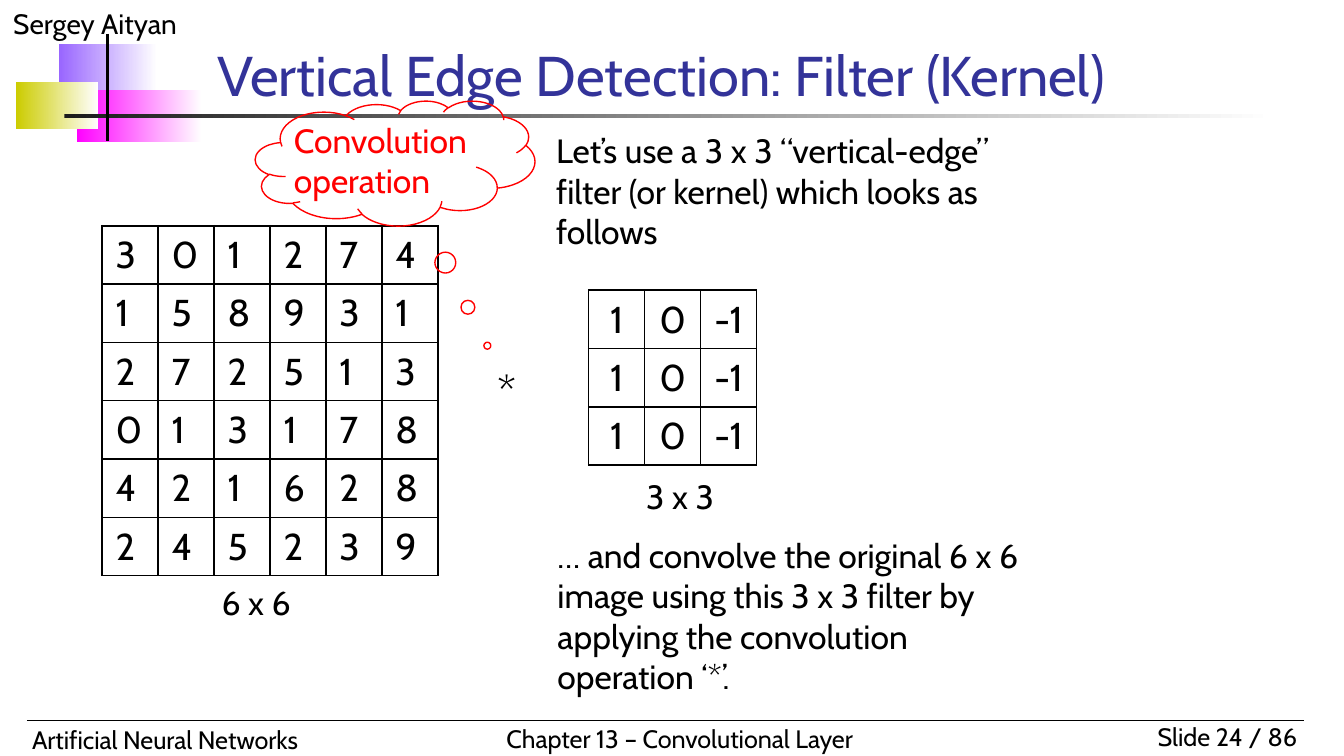
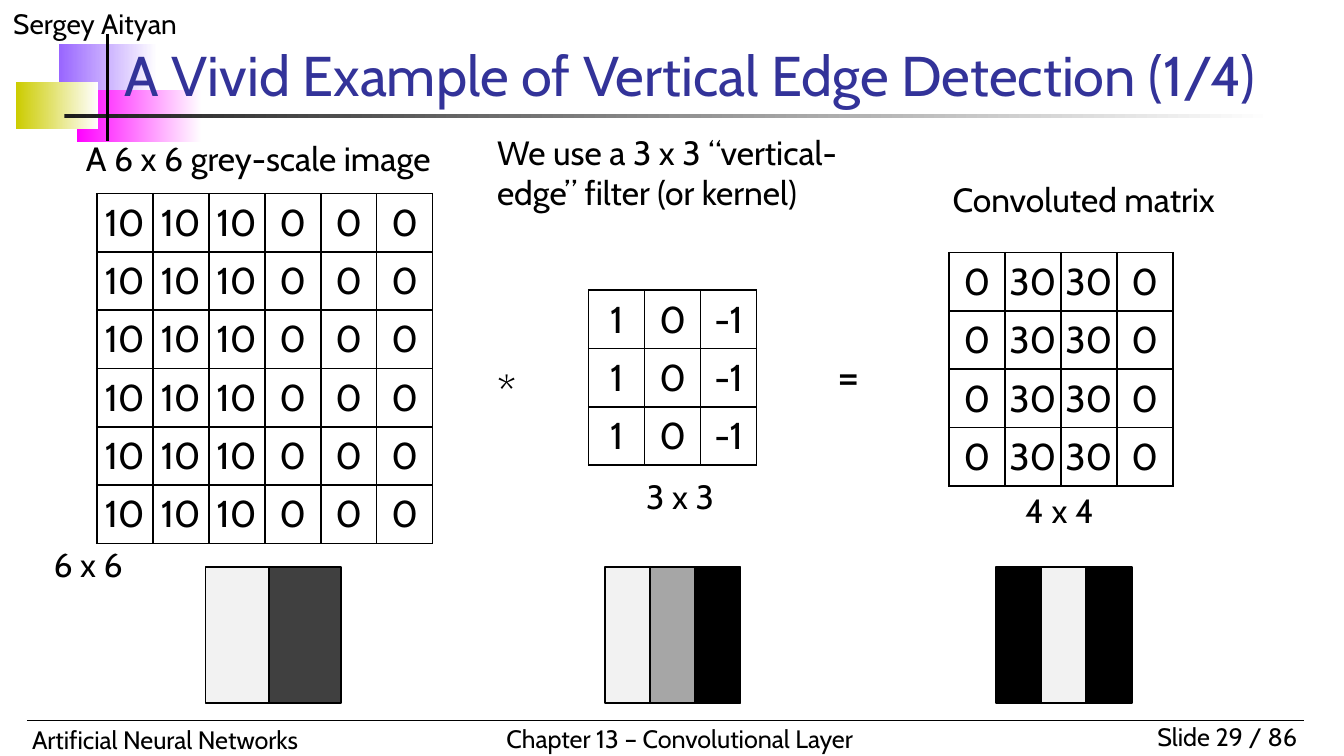
from dataclasses import dataclass

from lxml import etree
from pptx import Presentation
from pptx import util as u
from pptx.dml import color
from pptx.enum import shapes, text
from pptx.oxml import ns

FONT = "Cabin"
COLORS = {
    "black": "000000",
    "white": "FFFFFF",
    "title": "333399",
    "violet": "9966FF",
    "magenta": "FF00FF",
    "olive": "CCCC00",
    "charcoal": "1C1C1C",
    "callout": "FF0000",
    "light": "F2F2F2",
    "middle": "A6A6A6",
    "dark": "404040",
}
PAGE_WIDTH = 10
PAGE_HEIGHT = PAGE_WIDTH * 9 / 16
COLUMN_WIDTH = 2.5 / 6
ROW_HEIGHT = 2.6 / 6
SWATCH_TOP = 4.22
SWATCH_SIDE = 1.01
THIRD = SWATCH_SIDE / 3


@dataclass(frozen=True)
class Label:
    words: str
    left: float
    top: float
    width: float
    height: float = 0.4
    size: float = 18
    ink: str = "black"
    align: text.PP_ALIGN = text.PP_ALIGN.LEFT


@dataclass(frozen=True)
class Band:
    ink: str
    left: float
    top: float
    width: float
    height: float


@dataclass(frozen=True)
class Rule:
    start: tuple[float, float]
    end: tuple[float, float]
    weight: float


@dataclass(frozen=True)
class Matrix:
    left: float
    top: float
    rows: list[list[int]]
    centered: bool = True


@dataclass(frozen=True)
class Swatch:
    left: float
    inks: tuple[str, ...]
    pitch: float = THIRD
    width: float = THIRD


BANDS = [
    Band("violet", 0.44, 0.33, 0.73, 0.39),
    Band("magenta", 0.57, 0.67, 0.93, 0.39),
    Band("olive", 0.12, 0.61, 0.61, 0.35),
    Band("charcoal", 0.48, 0.85, 9, 0.03),
]
RULES = [
    Rule((0.2, 5.36), (9.7, 5.36), 0.75),
    Rule((0.8, 0.25), (0.8, 1.05), 2),
]
FRAME_LABELS = [
    Label("Sergey Aityan", 0, 0, 2.5, 0.35, 15),
    Label("Artificial Neural Networks", 0.14, 5.34, 3.7, 0.33, 13.5),
    Label("Chapter 13 – Convolutional Layer", 3.67, 5.33, 2.99, 0.33, 13.5),
]
KERNEL = Matrix(4.38, 2.16, [[1, 0, -1]] * 3)
KERNEL_LABELS = [
    Label("3 x 3", 4.71, 3.49, 0.92),
    Label("*", 3.6, 2.66, 0.44, 0.5, 24),
]


def rgb(ink: str) -> color.RGBColor:
    return color.RGBColor.from_string(COLORS[ink])


def write(frame, words: str, size: float, ink: str,
          align: text.PP_ALIGN = text.PP_ALIGN.LEFT) -> None:
    para = frame.paragraphs[0]
    para.alignment = align
    span = para.add_run()
    span.text = words
    span.font.name = FONT
    span.font.size = u.Pt(size)
    span.font.color.rgb = rgb(ink)


def add_label(page, label: Label):
    box = page.shapes.add_textbox(
        u.Inches(label.left), u.Inches(label.top),
        u.Inches(label.width), u.Inches(label.height))
    frame = box.text_frame
    frame.word_wrap = True
    frame.auto_size = text.MSO_AUTO_SIZE.SHAPE_TO_FIT_TEXT
    write(frame, label.words, label.size, label.ink, label.align)
    return box


def add_title(page, words: str, left: float, width: float) -> None:
    box = add_label(page, Label(words, left, 0.31, width, 0.54, 30, "title"))
    box.text_frame.auto_size = text.MSO_AUTO_SIZE.NONE
    box.text_frame.vertical_anchor = text.MSO_ANCHOR.BOTTOM


def add_band(page, band: Band) -> None:
    shape = page.shapes.add_shape(
        shapes.MSO_SHAPE.RECTANGLE, u.Inches(band.left), u.Inches(band.top),
        u.Inches(band.width), u.Inches(band.height))
    shape.shadow.inherit = False
    shape.line.fill.background()
    shape.fill.gradient()
    shape.fill.gradient_angle = 0
    for stop, ink in zip(shape.fill.gradient_stops, (band.ink, "white")):
        stop.color.rgb = rgb(ink)


def add_rule(page, rule: Rule) -> None:
    line = page.shapes.add_connector(
        shapes.MSO_CONNECTOR.STRAIGHT,
        *(u.Inches(value) for value in rule.start + rule.end))
    line.line.color.rgb = rgb("black")
    line.line.width = u.Pt(rule.weight)
    etree.SubElement(line._element.spPr, ns.qn("a:effectLst"))


def add_borders(cell) -> None:
    properties = cell._tc.get_or_add_tcPr()
    for side in ("lnL", "lnR", "lnT", "lnB"):
        line = etree.SubElement(properties, ns.qn(f"a:{side}"), w=str(u.Pt(1)))
        fill = etree.SubElement(line, ns.qn("a:solidFill"))
        etree.SubElement(fill, ns.qn("a:srgbClr"), val=COLORS["black"])


def add_matrix(page, matrix: Matrix) -> None:
    row_count, column_count = len(matrix.rows), len(matrix.rows[0])
    table = page.shapes.add_table(
        row_count, column_count, u.Inches(matrix.left), u.Inches(matrix.top),
        u.Inches(COLUMN_WIDTH * column_count),
        u.Inches(ROW_HEIGHT * row_count)).table
    table.first_row = False
    table.horz_banding = False
    align = text.PP_ALIGN.CENTER if matrix.centered else text.PP_ALIGN.LEFT
    for row, values in zip(table.rows, matrix.rows):
        for cell, value in zip(row.cells, values):
            if matrix.centered:
                cell.margin_left = cell.margin_right = u.Inches(0)
            add_borders(cell)
            cell.fill.background()
            write(cell.text_frame, str(value), 20, "black", align)


def add_swatch(page, swatch: Swatch) -> None:
    group = page.shapes.add_group_shape()
    for index, ink in enumerate(swatch.inks):
        stripe = group.shapes.add_shape(
            shapes.MSO_SHAPE.RECTANGLE,
            u.Inches(swatch.left + index * swatch.pitch), u.Inches(SWATCH_TOP),
            u.Inches(swatch.width), u.Inches(SWATCH_SIDE))
        stripe.shadow.inherit = False
        stripe.fill.solid()
        stripe.fill.fore_color.rgb = rgb(ink)
        stripe.line.color.rgb = rgb("black")
        stripe.line.width = u.Pt(1)


def add_callout(page, words: str) -> None:
    cloud = page.shapes.add_shape(
        shapes.MSO_SHAPE.CLOUD_CALLOUT,
        u.Inches(1.9), u.Inches(0.75), u.Inches(2.08), u.Inches(0.93))
    cloud.adjustments[0] = 0.33
    cloud.adjustments[1] = 1.46
    cloud.shadow.inherit = False
    cloud.fill.background()
    cloud.line.color.rgb = rgb("callout")
    cloud.line.width = u.Pt(0.75)
    frame = cloud.text_frame
    frame.word_wrap = True
    frame.vertical_anchor = text.MSO_ANCHOR.TOP
    frame.margin_left = frame.margin_right = u.Inches(0)
    frame.margin_top = frame.margin_bottom = u.Inches(0)
    write(frame, words, 18, "callout")


def add_page(deck, number: int, matrices: list[Matrix], labels: list[Label]):
    page = deck.slides.add_slide(deck.slide_layouts[6])
    for band in BANDS:
        add_band(page, band)
    slide_number = Label(f"Slide {number} / 86", 8.25, 5.32, 1.5, 0.33, 13.5,
                         align=text.PP_ALIGN.RIGHT)
    for label in FRAME_LABELS + [slide_number]:
        add_label(page, label)
    for rule in RULES:
        add_rule(page, rule)
    for matrix in matrices + [KERNEL]:
        add_matrix(page, matrix)
    for label in labels + KERNEL_LABELS:
        add_label(page, label)
    return page


def add_filter_page(deck) -> None:
    image = Matrix(0.76, 1.68, [
        [3, 0, 1, 2, 7, 4],
        [1, 5, 8, 9, 3, 1],
        [2, 7, 2, 5, 1, 3],
        [0, 1, 3, 1, 7, 8],
        [4, 2, 1, 6, 2, 8],
        [2, 4, 5, 2, 3, 9],
    ], centered=False)
    page = add_page(deck, 24, [image], [
        Label("Let’s use a 3 x 3 “vertical-edge” filter (or kernel) "
              "which looks as follows", 4.04, 0.92, 3.67, 1.01),
        Label("6 x 6", 1.55, 4.28, 0.92),
        Label("… and convolve the original 6 x 6 image using this 3 x 3 filter "
              "by applying the convolution operation ‘*’.",
              4.05, 3.93, 3.67, 1.31),
    ])
    add_title(page, "Vertical Edge Detection: Filter (Kernel)", 1.52, 7.35)
    add_callout(page, "Convolution operation")


def add_example_page(deck) -> None:
    image = Matrix(0.72, 1.44, [[10] * 3 + [0] * 3] * 6)
    result = Matrix(7.06, 1.88, [[0, 30, 30, 0]] * 4)
    page = add_page(deck, 29, [image, result], [
        Label("We use a 3 x 3 “vertical-edge” filter (or kernel)",
              3.6, 0.93, 3.24, 0.71),
        Label("6 x 6", 0.3, 4, 0.92),
        Label("=", 6.13, 2.54, 0.44, 0.5, 24),
        Label("Convoluted matrix", 6.99, 1.28, 2.43),
        Label("4 x 4", 7.53, 3.6, 0.92),
        Label("A 6 x 6 grey-scale image", 0.54, 0.98, 2.96),
    ])
    add_title(page, "A Vivid Example of Vertical Edge Detection (1/4)",
              0.83, 9.17)
    for swatch in (
        Swatch(4.5, ("light", "middle", "black")),
        Swatch(7.41, ("black", "light", "black")),
        Swatch(1.53, ("light", "dark"), pitch=0.47, width=0.54),
    ):
        add_swatch(page, swatch)


def main() -> None:
    deck = Presentation()
    deck.slide_width = u.Inches(PAGE_WIDTH)
    deck.slide_height = u.Inches(PAGE_HEIGHT)
    add_filter_page(deck)
    add_example_page(deck)
    deck.save("out.pptx")


if __name__ == "__main__":
    main()
